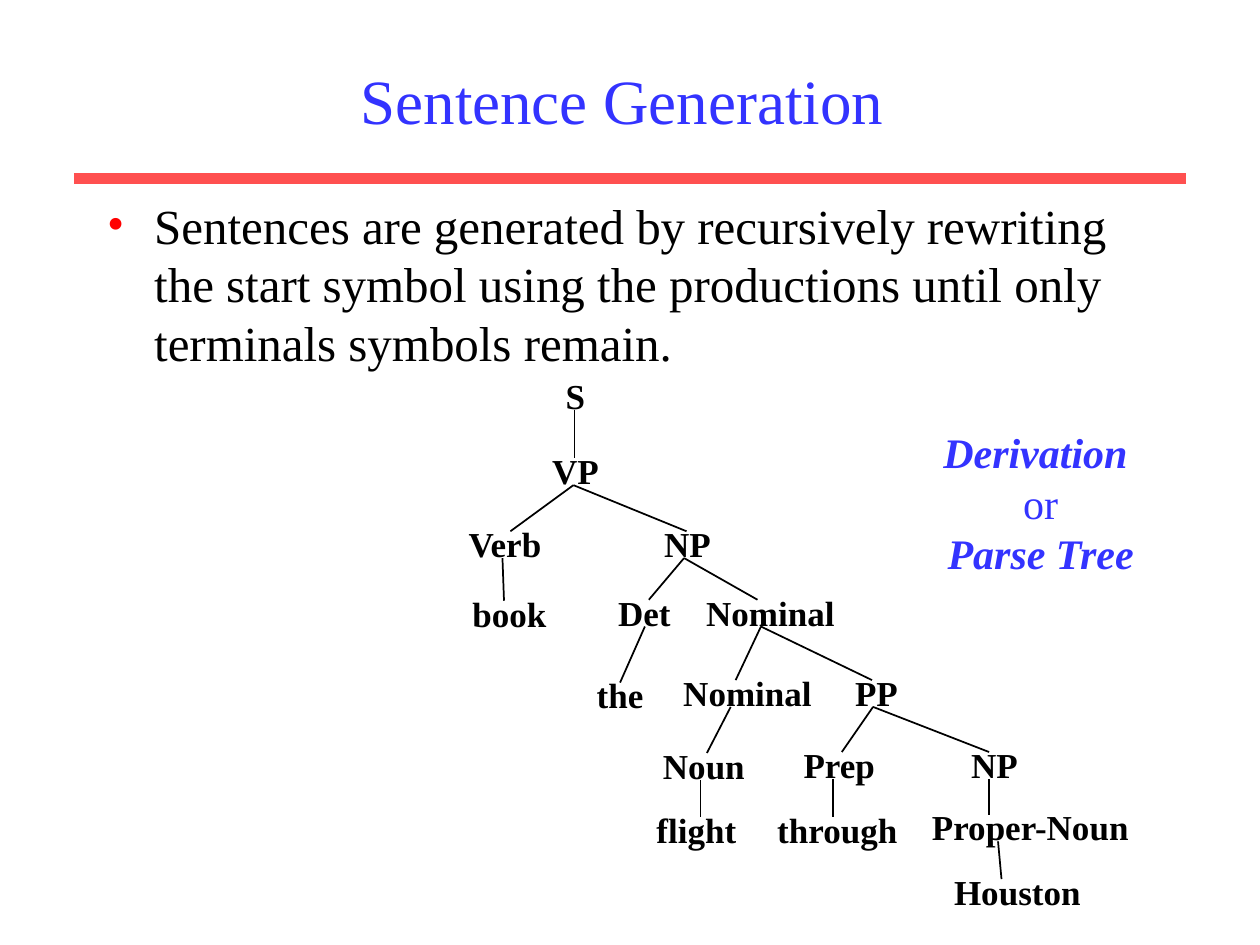
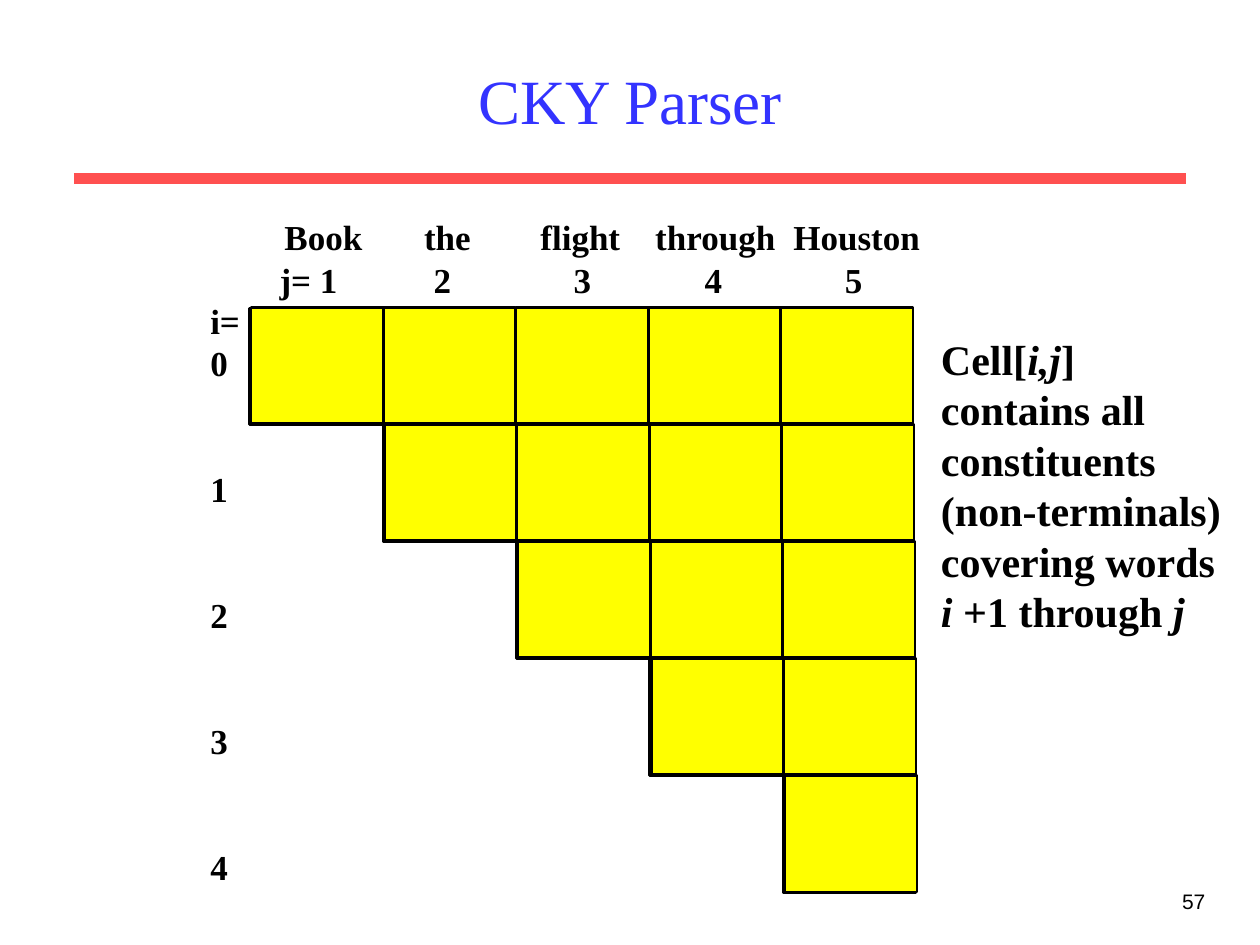
from collections import namedtuple
from dataclasses import dataclass

from lxml.etree import SubElement
from pptx import Presentation
from pptx.dml.color import RGBColor as Rgb
from pptx.enum.shapes import MSO_CONNECTOR as Link, MSO_SHAPE as Form
from pptx.enum.text import MSO_ANCHOR as Anchor, MSO_AUTO_SIZE as Fit, PP_ALIGN as Align
from pptx.oxml.ns import qn
from pptx.util import Cm, Pt

Box = namedtuple("Box", "x y w h")
Node = namedtuple("Node", "parent word mid top inlet outlet")


@dataclass(frozen=True)
class Theme:
    serif: str = "Times New Roman"
    sans: str = "Arial"
    black: str = "000000"
    blue: str = "3333FF"
    red: str = "FF0000"
    coral: str = "FF5050"
    white: str = "FFFFFF"
    yellow: str = "FFFF00"
    title: int = 36
    body: int = 28
    note: int = 24
    label: int = 20
    foot: int = 12
    lead: float = 1.2


THEME = Theme()

# Parse tree: parent index, word, centre, top, line ends above and below the word
TREE = [
    Node(None, "S", 2.6, 0.02, 2.58, 2.58),
    Node(0, "VP", 2.6, 1.54, 2.58, 2.56),
    Node(1, "Verb", 1.18, 3.01, 1.29, 1.13),
    Node(1, "NP", 4.86, 3.01, 4.84, 4.79),
    Node(2, "book", 1.27, 4.41, 1.16, None),
    Node(3, "Det", 3.99, 4.39, 4.08, 4.0),
    Node(3, "Nominal", 6.53, 4.39, 6.27, 6.34),
    Node(5, "the", 3.5, 6.06, 3.5, None),
    Node(6, "Nominal", 6.07, 6.01, 5.83, 5.73),
    Node(6, "PP", 8.67, 6.01, 8.58, 8.6),
    Node(8, "Noun", 5.19, 7.48, 5.25, 5.12),
    Node(9, "Prep", 7.92, 7.46, 7.97, 7.79),
    Node(9, "NP", 11.05, 7.46, 10.94, 10.94),
    Node(10, "flight", 5.04, 8.77, 5.12, None),
    Node(11, "through", 7.88, 8.77, 7.79, None),
    Node(12, "Proper-Noun", 11.77, 8.72, 10.94, 11.12),
    Node(15, "Houston", 11.51, 10.02, 11.19, None),
]

# Chart headings with their centres
WORDS = [("Book", 1.47), ("the", 3.97), ("flight", 6.65),
         ("through", 9.37), ("Houston", 12.22)]
ENDS = [("j= 1", 1.17), ("2", 3.87), ("3", 6.69), ("4", 9.33), ("5", 12.16)]


def style(run, size, tint, face=THEME.serif, bold=False, slant=False):
    font = run.font
    font.name, font.size = face, Pt(size)
    font.bold, font.italic = bold, slant
    font.color.rgb = Rgb.from_string(tint)


def put_text(slide, box, lines, size, tint=THEME.black, face=THEME.serif,
             bold=False, align=Align.LEFT, wrap=False):
    """Add a text box; pieces between underscores are italic."""
    frame = slide.shapes.add_textbox(*map(Cm, box)).text_frame
    frame.word_wrap = wrap
    for i, line in enumerate(lines):
        para = frame.add_paragraph() if i else frame.paragraphs[0]
        para.alignment = align
        para.line_spacing = Pt(size * THEME.lead)
        for j, piece in enumerate(line.split("_")):
            if piece:
                run = para.add_run()
                run.text = piece
                style(run, size, tint, face, bold, slant=j % 2 == 1)
    return frame


def put_word(slide, word, mid, top):
    wide = 0.4 * len(word) + 1.4
    put_text(slide, Box(mid - wide / 2, top, wide, 1.12), [word],
             THEME.label, bold=True, align=Align.CENTER)


def put_line(slide, x1, y1, x2, y2, tint=THEME.black, width=1):
    line = slide.shapes.add_connector(Link.STRAIGHT, *map(Cm, (x1, y1, x2, y2)))
    line.line.color.rgb = Rgb.from_string(tint)
    line.line.width = Pt(width)
    SubElement(line._element.spPr, qn("a:effectLst"))


def put_cell(slide, box, tint):
    cell = slide.shapes.add_shape(Form.RECTANGLE, *map(Cm, box))
    cell.shadow.inherit = False
    cell.fill.solid()
    cell.fill.fore_color.rgb = Rgb.from_string(tint)
    cell.line.color.rgb = Rgb.from_string(THEME.black)
    cell.line.width = Pt(1.5)


def new_slide(deck, text):
    """Start a slide with the shared title and red rule."""
    slide = deck.slides.add_slide(deck.slide_layouts[5])
    put_line(slide, 1.49, 3.6, 23.91, 3.6, THEME.coral, 6)
    title = slide.shapes.title
    title.left, title.top, title.width, title.height = map(Cm, (1.9, 0.64, 21.6, 2.74))
    frame = title.text_frame
    frame.text = text
    frame.auto_size = Fit.NONE
    frame.vertical_anchor = Anchor.MIDDLE
    frame.paragraphs[0].alignment = Align.CENTER
    style(frame.paragraphs[0].runs[0], THEME.title, THEME.blue)
    return slide


def put_bullet(slide, box, text):
    frame = put_text(slide, box, [text], THEME.body, wrap=True)
    para = frame.paragraphs[0]
    para.space_before = Pt(7)
    props = para._p.get_or_add_pPr()
    props.set("marL", str(Cm(0.95)))
    props.set("indent", str(-Cm(0.95)))
    tint = SubElement(props, qn("a:buClr"))
    SubElement(tint, qn("a:srgbClr"), val=THEME.red)
    SubElement(props, qn("a:buFont"), typeface=THEME.serif)
    SubElement(props, qn("a:buChar"), char="•")


def put_tree(slide, box):
    for node in TREE:
        put_word(slide, node.word, box.x + node.mid, box.y + node.top)
    # Branches run from the foot of a parent to the head of its child
    for node in TREE[1:]:
        root = TREE[node.parent]
        put_line(slide, box.x + root.outlet, box.y + root.top + 0.84,
                 box.x + node.inlet, box.y + node.top + 0.3)


def put_grid(slide, box, count=5, skew=0.02):
    """Draw the upper triangle twice, slightly shifted, for heavy edges."""
    step, rise = box.w / count, box.h / count
    for tint, dx, dy in ((THEME.white, 0, 0.02), (THEME.yellow, 0.03, 0)):
        for row in range(count):
            for col in range(row, count):
                put_cell(slide, Box(box.x + dx + col * step + row * skew,
                                    box.y + dy + row * rise,
                                    step, rise - 0.02), tint)


def put_heads(slide, box):
    for top, heads in ((0, WORDS), (0.86, ENDS)):
        for word, mid in heads:
            put_word(slide, word, box.x + mid, box.y + top)


def put_rows(slide, box):
    frame = put_text(slide, box, ["i=", *"01234"], THEME.label, bold=True)
    for para in frame.paragraphs[2:]:
        para.space_before = Pt(2 * THEME.label * THEME.lead)


def tree_slide(deck):
    slide = new_slide(deck, "Sentence Generation ")
    put_bullet(slide, Box(1.91, 3.81, 21.6, 3.89),
               "Sentences are generated by recursively rewriting the start symbol "
               "using the productions until only terminals symbols remain.")
    put_tree(slide, Box(9, 7.4, 14, 11.2))
    # Caption beside the tree
    frame = put_text(slide, Box(18.47, 8.48, 5.02, 3.3),
                     ["_Derivation _", "or", "_Parse Tree_"], THEME.note,
                     THEME.blue, bold=True, align=Align.CENTER)
    frame.paragraphs[1].runs[0].font.bold = False


def chart_slide(deck):
    slide = new_slide(deck, "CKY Parser")
    put_grid(slide, Box(5.03, 6.2, 13.35, 11.8))
    put_heads(slide, Box(5.05, 4.22, 13.3, 1.98))
    put_rows(slide, Box(3.99, 5.92, 1.6, 12.12))
    # Meaning of a cell
    put_text(slide, Box(18.72, 6.6, 6.4, 6.35),
             ["Cell[_i,j_]", "contains all", "constituents", "(non-terminals)",
              "covering words", "_i_ +1 through _j_"], THEME.note, bold=True)
    # Page number
    put_text(slide, Box(19.27, 17.78, 5.28, 1.27), ["57"], THEME.foot,
             face=THEME.sans, align=Align.RIGHT, wrap=True)


def main():
    deck = Presentation()
    deck.slide_width, deck.slide_height = Cm(25.4), Cm(19.05)
    tree_slide(deck)
    chart_slide(deck)
    deck.save("out.pptx")


if __name__ == "__main__":
    main()
